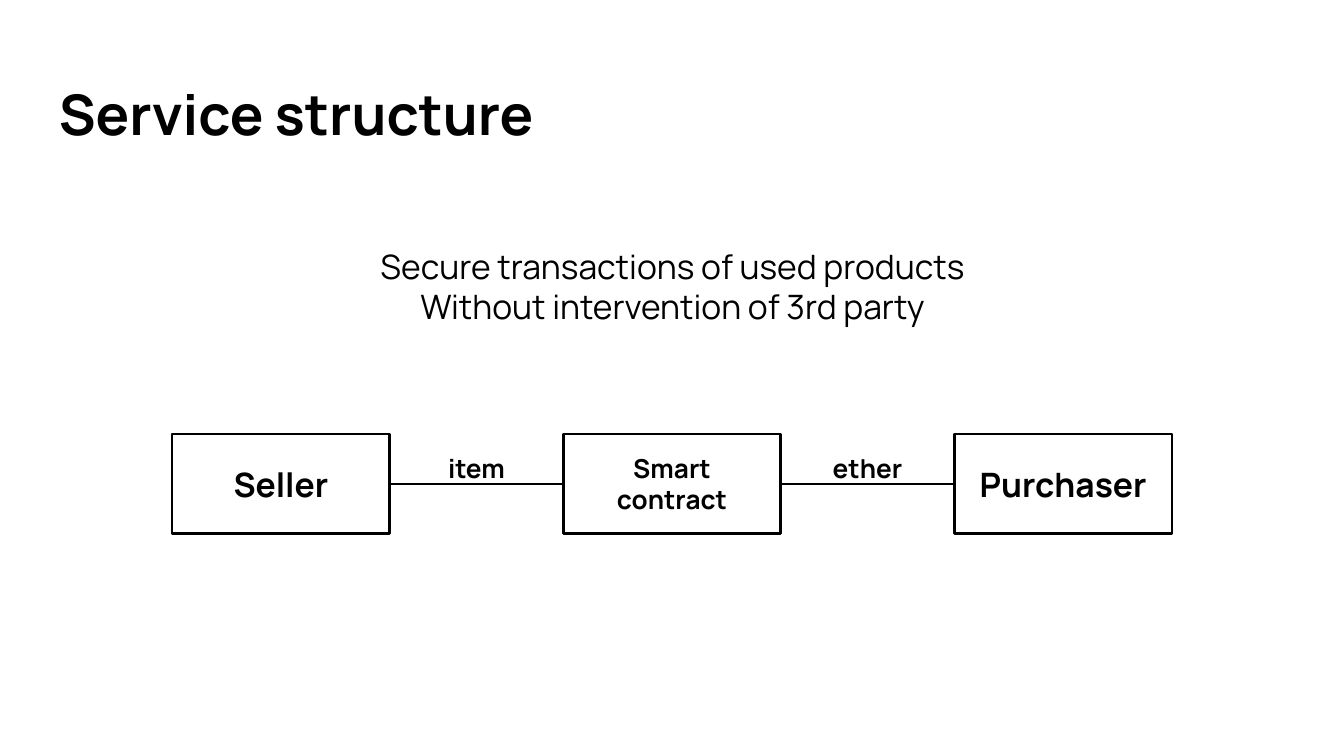
from dataclasses import dataclass

import pptx
import pptx.dml.color
import pptx.enum.shapes
import pptx.enum.text
import pptx.oxml
import pptx.oxml.ns
import pptx.util

Inches = pptx.util.Inches
ANCHOR = pptx.enum.text.MSO_ANCHOR
ALIGN = pptx.enum.text.PP_ALIGN

SLIDE_W, SLIDE_H = 10, 10 * 9 / 16
COLORS = {"ink": "000000", "paper": "FFFFFF"}
FONT = "Manrope"

# The flow is a row of columns centred on the slide
COLUMN_STEP = 2.91
PARTY_W, PARTY_H = 1.62, 0.74
FLOW_Y = 3.6
LABEL_W, LABEL_H = 0.88, 0.24
LABEL_Y = 3.48


@dataclass(frozen=True)
class Party:
    name: str
    column: int
    size: int


@dataclass(frozen=True)
class Transfer:
    label: str
    source: int
    target: int


PARTIES = [Party("Seller", 0, 18), Party("Smart contract", 1, 14), Party("Purchaser", 2, 18)]
TRANSFERS = [Transfer("item", 0, 1), Transfer("ether", 1, 2)]


def rgb(name: str) -> pptx.dml.color.RGBColor:
    return pptx.dml.color.RGBColor.from_string(COLORS[name])


def column_center(column: float) -> float:
    return SLIDE_W / 2 + (column - 1) * COLUMN_STEP


def write(shape, lines: list[str], size: int, bold: bool, align, anchor, inset: float = 0.1) -> None:
    frame = shape.text_frame
    frame.word_wrap = True
    frame.vertical_anchor = anchor
    frame.margin_left = frame.margin_right = Inches(inset)
    frame.margin_top = frame.margin_bottom = Inches(0.1)
    for index, line in enumerate(lines):
        paragraph = frame.add_paragraph() if index else frame.paragraphs[0]
        paragraph.alignment = align
        run = paragraph.add_run()
        run.text = line
        run.font.name = FONT
        run.font.size = pptx.util.Pt(size)
        run.font.bold = bold
        run.font.color.rgb = rgb("ink")


def add_text(slide, x: float, y: float, w: float, h: float, lines: list[str], size: int,
             bold: bool = False, align=ALIGN.CENTER, anchor=ANCHOR.TOP) -> None:
    box = slide.shapes.add_textbox(Inches(x), Inches(y), Inches(w), Inches(h))
    write(box, lines, size, bold, align, anchor)


def add_party(slide, party: Party):
    box = slide.shapes.add_shape(
        pptx.enum.shapes.MSO_SHAPE.RECTANGLE,
        Inches(column_center(party.column) - PARTY_W / 2), Inches(FLOW_Y - PARTY_H / 2),
        Inches(PARTY_W), Inches(PARTY_H))
    box.shadow.inherit = False
    box.fill.background()
    box.line.color.rgb = rgb("ink")
    box.line.width = pptx.util.Pt(1.5)
    write(box, [party.name], party.size, True, ALIGN.CENTER, ANCHOR.MIDDLE, inset=0.12)
    return box


def add_transfer(slide, transfer: Transfer, boxes: list) -> None:
    """Join two parties with a line and put the label above its middle."""
    line = slide.shapes.add_connector(pptx.enum.shapes.MSO_CONNECTOR.STRAIGHT, 0, 0, 0, 0)
    line.begin_connect(boxes[transfer.source], 3)
    line.end_connect(boxes[transfer.target], 1)
    line.line.color.rgb = rgb("ink")
    line.line.width = pptx.util.Pt(0.75)
    line._element.spPr.append(pptx.oxml.parse_xml(
        f"<a:effectLst {pptx.oxml.ns.nsdecls('a')}/>"))
    middle = column_center((transfer.source + transfer.target) / 2)
    add_text(slide, middle - LABEL_W / 2, LABEL_Y - LABEL_H / 2, LABEL_W, LABEL_H,
             [transfer.label], 14, bold=True, anchor=ANCHOR.MIDDLE)


def main() -> None:
    deck = pptx.Presentation()
    deck.slide_width, deck.slide_height = Inches(SLIDE_W), Inches(SLIDE_H)
    slide = deck.slides.add_slide(deck.slide_layouts[6])
    slide.background.fill.solid()
    slide.background.fill.fore_color.rgb = rgb("paper")

    add_text(slide, 0.34, 0.49, 9.32, 0.68, ["Service structure"], 30, bold=True, align=ALIGN.LEFT)
    boxes = [add_party(slide, party) for party in PARTIES]
    for transfer in TRANSFERS:
        add_transfer(slide, transfer, boxes)
    add_text(slide, 0.99, 1.73, 8.03, 0.57,
             ["Secure transactions of used products", "Without intervention of 3rd party"], 18)
    deck.save("out.pptx")


if __name__ == "__main__":
    main()
